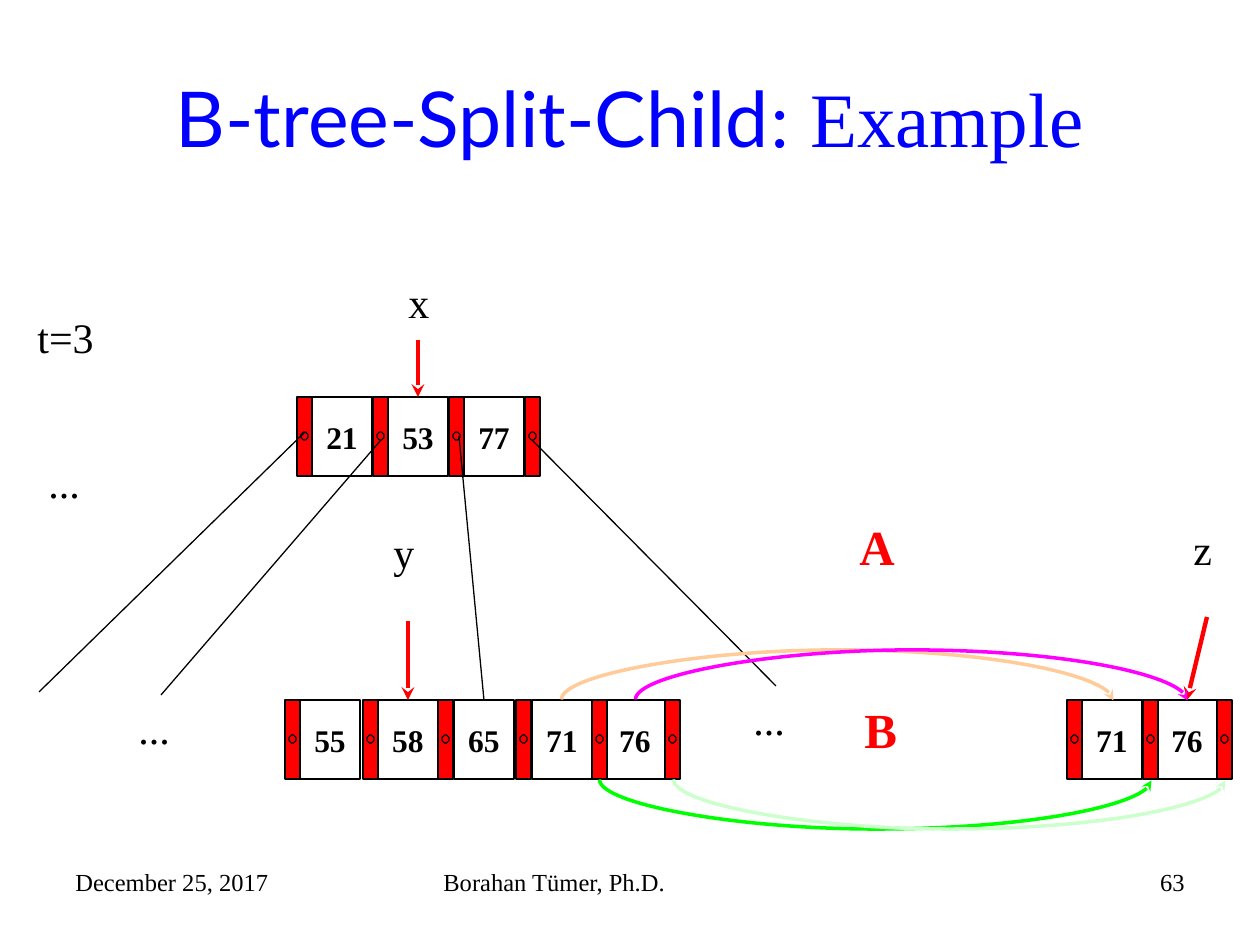
from lxml.etree import SubElement
from pptx import Presentation
from pptx.dml.color import RGBColor
from pptx.enum.shapes import MSO_CONNECTOR, MSO_SHAPE
from pptx.enum.text import MSO_ANCHOR, MSO_AUTO_SIZE, PP_ALIGN
from pptx.oxml.ns import qn
from pptx.util import Emu, Pt

PX_PER_INCH = 126
SERIF = "Times New Roman"
BLACK, RED, BLUE = "000000", "FF0000", "0000FF"
KEY_WIDTH, POINTER_WIDTH, NODE_HEIGHT = 60, 15, 79
ROOT_TOP, LEAF_TOP = 397, 700
COPY_SHIFT = 552  # distance from an entry of y to its copy in z
ARC_RISE = 50


def px(value):
    return Emu(round(value * 914400 / PX_PER_INCH))


def rgb(color):
    return RGBColor.from_string(color)


def add_run(paragraph, text, size, color=BLACK, font=SERIF, bold=False):
    run = paragraph.add_run()
    run.text = text
    run.font.name = font
    run.font.size = Pt(size)
    run.font.bold = bold
    run.font.color.rgb = rgb(color)


def add_label(slide, text, left, top, width, height=63, size=24, color=BLACK, bold=False):
    """Add a one-line text box that fits its text."""
    frame = slide.shapes.add_textbox(*map(px, (left, top, width, height))).text_frame
    frame.word_wrap = False
    frame.auto_size = MSO_AUTO_SIZE.SHAPE_TO_FIT_TEXT
    add_run(frame.paragraphs[0], text, size, color, bold=bold)


def add_footer(slide, text, left, width, align=PP_ALIGN.LEFT):
    frame = slide.shapes.add_textbox(*map(px, (left, 861, width, 66))).text_frame
    frame.word_wrap = True
    frame.paragraphs[0].alignment = align
    add_run(frame.paragraphs[0], text, 14)


def add_title(slide):
    frame = slide.shapes.add_textbox(*map(px, (63, 38, 1134, 157))).text_frame
    frame.word_wrap = True
    frame.vertical_anchor = MSO_ANCHOR.MIDDLE
    frame.paragraphs[0].alignment = PP_ALIGN.CENTER
    add_run(frame.paragraphs[0], "B-tree-Split-Child", 44, BLUE, "Lato")
    add_run(frame.paragraphs[0], ": Example", 44, BLUE)


def add_outlined(slide, kind, left, top, width, height, fill=None):
    shape = slide.shapes.add_shape(kind, *map(px, (left, top, width, height)))
    shape.shadow.inherit = False
    if fill:
        shape.fill.solid()
        shape.fill.fore_color.rgb = rgb(fill)
    else:
        shape.fill.background()
    shape.line.color.rgb = rgb(BLACK)
    shape.line.width = Pt(0.75)
    return shape


def add_key(slide, text, left, top):
    key = add_outlined(slide, MSO_SHAPE.RECTANGLE, left, top, KEY_WIDTH, NODE_HEIGHT)
    frame = key.text_frame
    frame.word_wrap = False
    frame.vertical_anchor = MSO_ANCHOR.MIDDLE
    frame.paragraphs[0].alignment = PP_ALIGN.CENTER
    add_run(frame.paragraphs[0], text, 18, bold=True)
    return key


def add_pointer(slide, left, top):
    add_outlined(slide, MSO_SHAPE.RECTANGLE, left, top, POINTER_WIDTH, NODE_HEIGHT, RED)
    dot = add_outlined(slide, MSO_SHAPE.OCTAGON, left + 4, top + 35, 7, 8, RED)
    dot.adjustments[0] = 0.354


def add_node(slide, top, keys, pointers):
    """Draw a tree node and return its key boxes by their text."""
    boxes = {text: add_key(slide, text, left, top) for text, left in keys.items()}
    for left in pointers:
        add_pointer(slide, left, top)
    return boxes


def add_link(slide, start, end, color=BLACK, width=0.75, arrow=False,
             kind=MSO_CONNECTOR.STRAIGHT, target=None):
    """Connect two points; a target box receives the end at its top middle."""
    link = slide.shapes.add_connector(kind, *map(px, (*start, *end)))
    if target is not None:
        link.end_connect(target, 0)
    link.line.color.rgb = rgb(color)
    link.line.width = Pt(width)
    properties = link.element.spPr
    if arrow:
        SubElement(properties.find(qn("a:ln")), qn("a:tailEnd"), type="stealth")
    SubElement(properties, qn("a:effectLst"))
    return link


def add_copy_arc(slide, start_x, color, above):
    """Arch from an entry of y to its copy in z, above or below the nodes."""
    half = COPY_SHIFT // 2
    middle = start_x + half
    if above:
        start, end = (middle, LEAF_TOP + half), (middle + 1, LEAF_TOP - half)
        quarter_turns, bend = 1, -ARC_RISE
    else:
        bottom = LEAF_TOP + NODE_HEIGHT + 1
        start, end = (middle + 1, bottom - half), (middle, bottom + half)
        quarter_turns, bend = 3, ARC_RISE
    arc = add_link(slide, start, end, color, 2, True, MSO_CONNECTOR.CURVE)
    properties = arc.element.spPr
    properties.find(qn("a:xfrm")).set("rot", str(quarter_turns * 5400000))
    geometry = properties.find(qn("a:prstGeom"))
    guides = geometry.find(qn("a:avLst"))
    if guides is None:
        guides = SubElement(geometry, qn("a:avLst"))
    # The unrotated arc is 1 px wide, so the bend is a multiple of that width.
    SubElement(guides, qn("a:gd"), name="adj1", fmla=f"val {bend * 100000}")


def main():
    presentation = Presentation()
    presentation.slide_width, presentation.slide_height = px(1260), px(945)
    slide = presentation.slides.add_slide(presentation.slide_layouts[6])

    add_footer(slide, "December 25, 2017", 63, 294)
    add_footer(slide, "Borahan Tümer, Ph.D.", 431, 399)
    add_footer(slide, "63", 903, 294, PP_ALIGN.RIGHT)
    add_title(slide)

    x_keys = add_node(slide, ROOT_TOP, {"21": 312, "53": 388, "77": 464},
                      range(297, 526, 76))
    y_keys = add_node(slide, LEAF_TOP,
                      {"55": 300, "58": 378, "65": 454, "71": 532, "76": 605},
                      [285, 363, 438, 516, 592, 665])
    z_keys = add_node(slide, LEAF_TOP, {"71": 1082, "76": 1157}, [1067, 1143, 1217])

    for start, end in (((305, 432), (39, 692)),
                       ((381, 440), (161, 695)),
                       ((532, 440), (776, 686))):
        add_link(slide, start, end)
    add_link(slide, (459, 436), (484, LEAF_TOP), target=y_keys["65"])

    for start, target in (((418, 340), x_keys["53"]),
                          ((408, 621), y_keys["58"]),
                          ((1207, 617), z_keys["76"])):
        add_link(slide, start, start, RED, 2.5, True, target=target)

    for start_x, color, above in ((561, "FFCC99", True), (635, "FF00FF", True),
                                  (599, "00FF00", False), (673, "CCFFCC", False)):
        add_copy_arc(slide, start_x, color, above)

    for text, left, top, width in (("x", 396, 270, 47), ("y", 381, 520, 47),
                                   ("z", 1181, 517, 44), ("t=3", 25, 305, 82),
                                   ("...", 36, 450, 57), ("...", 126, 696, 57),
                                   ("...", 741, 687, 57)):
        add_label(slide, text, left, top, width)
    for text, left, top in (("A", 847, 510), ("B", 852, 693)):
        add_label(slide, text, left, top, 60, 72, 28, RED, True)

    presentation.save("out.pptx")


if __name__ == "__main__":
    main()
